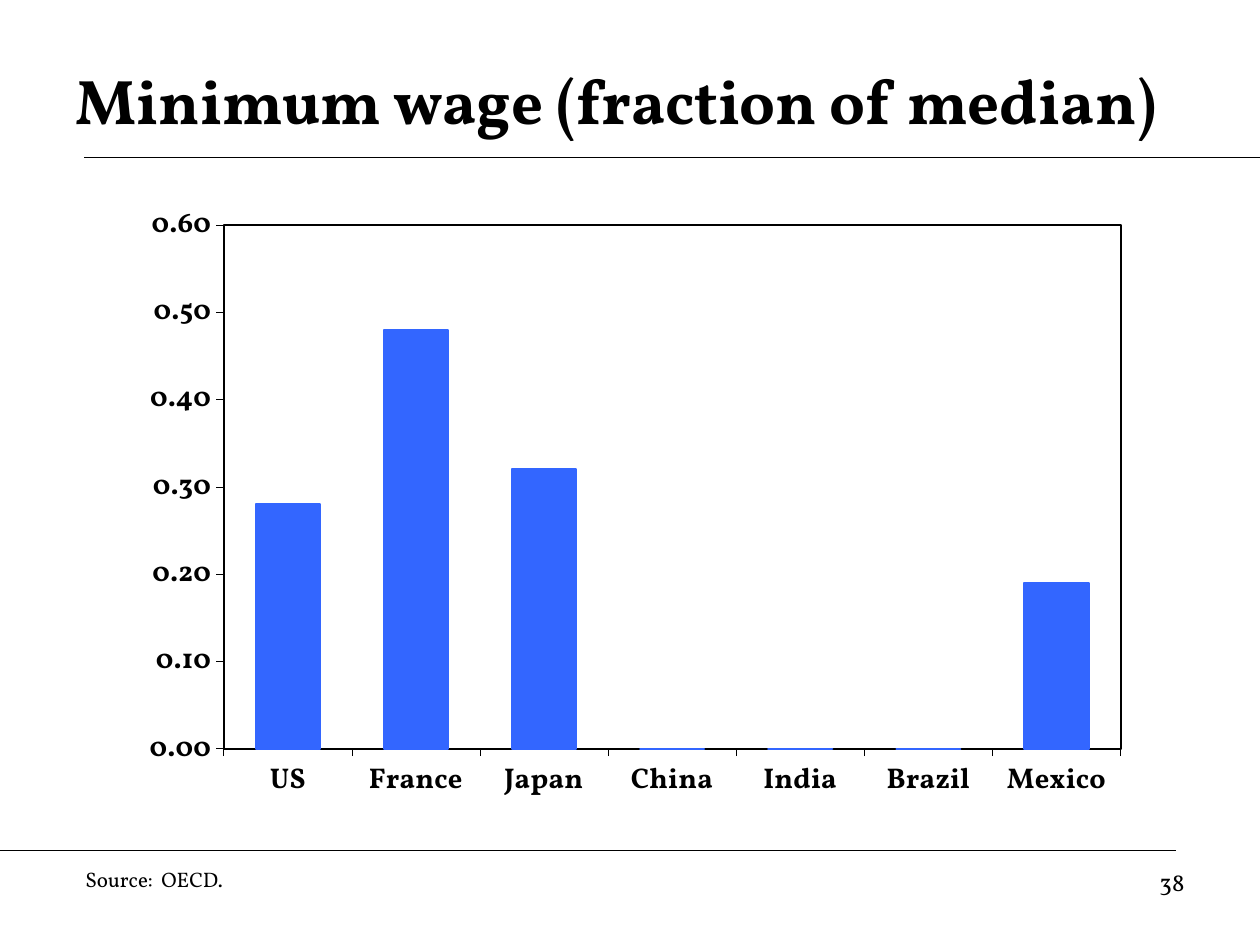
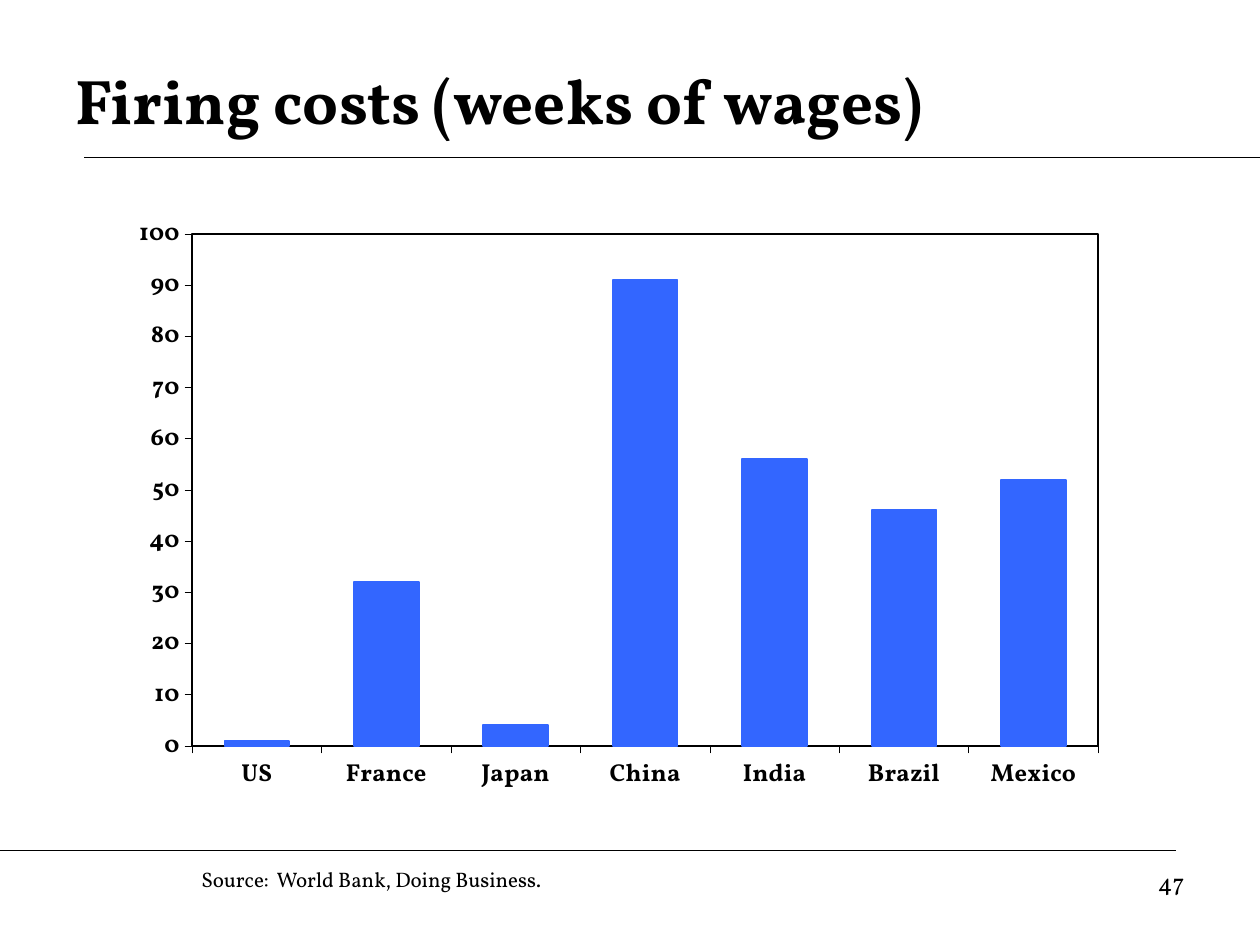
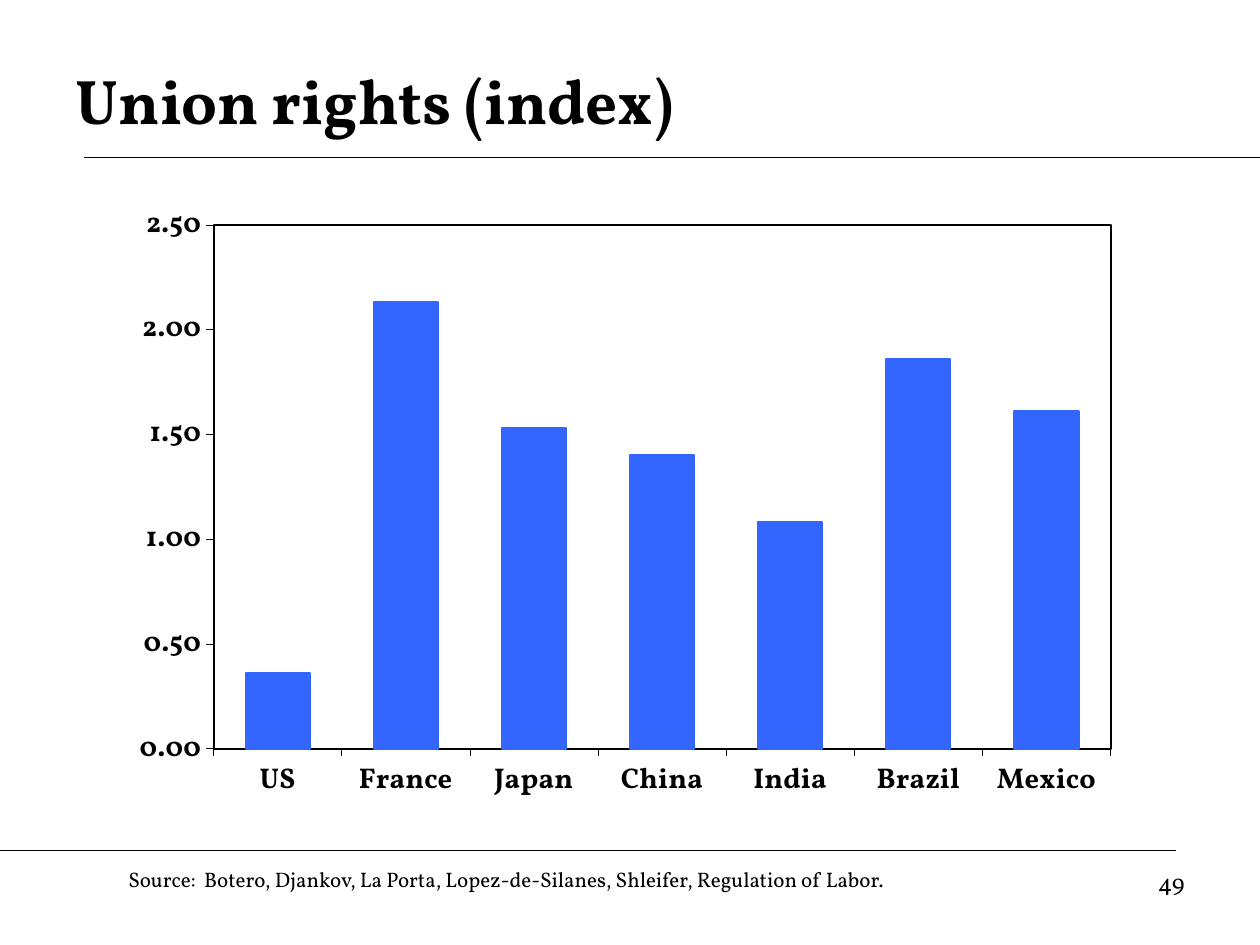
"""Builds three slides of column charts on labor rules in seven countries."""
from pptx import Presentation
from pptx.chart.data import CategoryChartData
from pptx.dml.color import RGBColor
from pptx.enum.chart import XL_CHART_TYPE, XL_TICK_MARK
from pptx.enum.shapes import MSO_CONNECTOR
from pptx.enum.text import MSO_ANCHOR, MSO_AUTO_SIZE, PP_ALIGN
from pptx.oxml import parse_xml
from pptx.oxml.ns import nsdecls, qn
from pptx.util import Inches, Pt

BLACK = RGBColor(0x00, 0x00, 0x00)
BLUE = RGBColor(0x33, 0x66, 0xFF)
FONT = "Vollkorn"
LANDS = ["US", "France", "Japan", "China", "India", "Brazil", "Mexico"]
RULES = [(0.67, 1.25, 10), (0, 6.75, 9.33)]
WIDE = dict(top=1.42, tall=5.29, plot=(0.097, 0.069, 0.891, 0.786),
            size=16.3, edge=1.17, hair=0.29, form="#,##0.00")
SLIM = dict(top=1.5, tall=5.17, plot=(0.087, 0.069, 0.9, 0.786),
            size=14, edge=1, hair=0.25, form="#,##0")
PAGES = [
    dict(title="Minimum wage (fraction of median)", page="38", look=WIDE,
         left=1, vals=[0.28, 0.48, 0.32, 0, 0, 0, 0.19], high=0.6, step=0.1,
         source="Source:  OECD.", place=(0.58, 4.83)),
    dict(title="Firing costs (weeks of wages)", page="47", look=SLIM,
         left=0.83, vals=[1, 32, 4, 91, 56, 46, 52], high=100, step=10,
         source="Source:  World Bank, Doing Business.", place=(1.5, 7.17)),
    dict(title="Union rights (index)", page="49", look=WIDE,
         left=0.92, vals=[0.36, 2.13, 1.53, 1.4, 1.08, 1.86, 1.61],
         high=2.5, step=0.5, place=(0.92, 6.83),
         source="Source:  Botero, Djankov, La Porta, Lopez-de-Silanes, "
                "Shleifer, Regulation of Labor."),
]


def write(shape, text, box, size, bold=False, align=PP_ALIGN.LEFT, anchor=MSO_ANCHOR.TOP):
    shape.left, shape.top, shape.width, shape.height = map(Inches, box)
    frame = shape.text_frame
    frame.word_wrap = True
    frame.auto_size = MSO_AUTO_SIZE.NONE
    frame.vertical_anchor = anchor
    para = frame.paragraphs[0]
    para.alignment = align
    run = para.add_run()
    run.text = text
    font = run.font
    font.name, font.size, font.bold = FONT, Pt(size), bold
    font.color.rgb = BLACK


def frame_plot(chart, spots, width):
    area = chart.element.find(".//" + qn("c:plotArea"))
    for old in area.findall(qn("c:layout")):
        area.remove(old)
    parts = "".join(f'<c:{tag} val="{val}"/>' for tag, val in zip("xywh", spots))
    area.insert(0, parse_xml(
        f'<c:layout {nsdecls("c")}><c:manualLayout><c:layoutTarget val="inner"/>'
        f'<c:xMode val="edge"/><c:yMode val="edge"/>{parts}'
        '</c:manualLayout></c:layout>'.replace('val="w"', 'val="w"')))
    area.append(parse_xml(
        f'<c:spPr {nsdecls("c", "a")}><a:noFill/><a:ln w="{Pt(width)}"><a:solidFill>'
        f'<a:srgbClr val="{BLACK}"/></a:solidFill></a:ln></c:spPr>'))


deck = Presentation()
deck.slide_width, deck.slide_height = Inches(10), Inches(7.5)

for item in PAGES:
    look = item["look"]
    slide = deck.slides.add_slide(deck.slide_layouts[5])
    shapes = slide.shapes
    write(shapes.title, item["title"], (0.5, 0.33, 9, 0.92), 36, bold=True,
          anchor=MSO_ANCHOR.MIDDLE)

    for start, y, end in RULES:
        rule = shapes.add_connector(MSO_CONNECTOR.STRAIGHT, Inches(start), Inches(y),
                                    Inches(end), Inches(y))
        rule.line.color.rgb = BLACK
        rule.line.width = Pt(0.75)
        rule.element.spPr.append(parse_xml(f'<a:effectLst {nsdecls("a")}/>'))

    data = CategoryChartData(number_format=look["form"])
    data.categories = LANDS
    data.add_series("Series 1", item["vals"])
    chart = shapes.add_chart(
        XL_CHART_TYPE.COLUMN_CLUSTERED, Inches(item["left"]), Inches(look["top"]),
        Inches(7.99), Inches(look["tall"]), data).chart
    chart.has_legend = chart.has_title = False
    font = chart.font
    font.name, font.size, font.bold = FONT, Pt(look["size"]), True
    font.color.rgb = BLACK

    plot = chart.plots[0]
    plot.gap_width = 100
    plot.vary_by_categories = False
    bars = plot.series[0].format
    bars.fill.solid()
    bars.fill.fore_color.rgb = BLUE
    bars.line.color.rgb = BLUE
    bars.line.width = Pt(look["edge"])

    for axis in (chart.category_axis, chart.value_axis):
        axis.has_major_gridlines = False
        axis.major_tick_mark = XL_TICK_MARK.OUTSIDE
        axis.minor_tick_mark = XL_TICK_MARK.NONE
        axis.format.line.color.rgb = BLACK
        axis.format.line.width = Pt(look["hair"])
    scale = chart.value_axis
    scale.minimum_scale, scale.maximum_scale = 0, item["high"]
    scale.major_unit = item["step"]
    scale.tick_labels.number_format = look["form"]
    scale.tick_labels.number_format_is_linked = False
    frame_plot(chart, look["plot"], look["edge"])

    left, width = item["place"]
    write(shapes.add_textbox(0, 0, 0, 0), item["source"], (left, 6.83, width, 0.3), 12)
    write(shapes.add_textbox(0, 0, 0, 0), item["page"], (7.17, 6.83, 2.33, 0.52), 14,
          align=PP_ALIGN.RIGHT)

deck.save("out.pptx")
